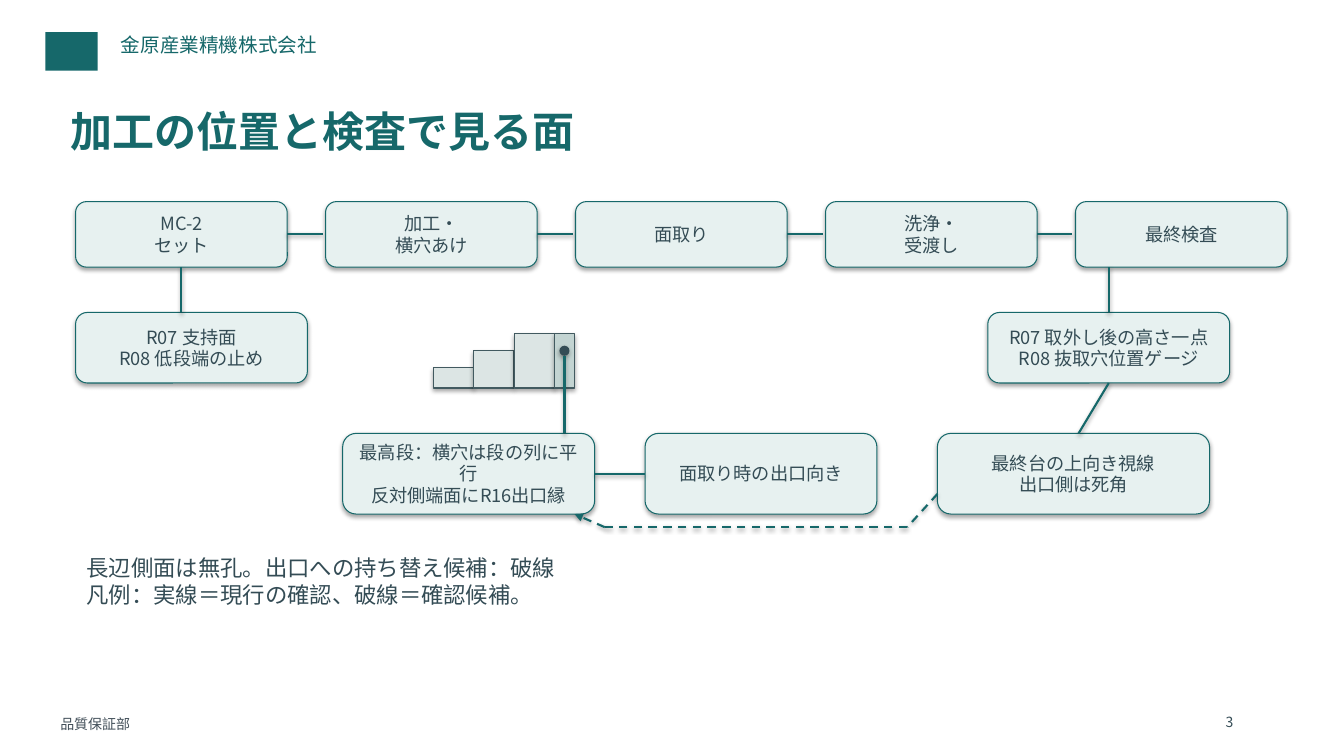
from lxml.etree import SubElement
from pptx import Presentation
from pptx.dml.color import RGBColor
from pptx.enum.dml import MSO_LINE
from pptx.enum.shapes import MSO_CONNECTOR, MSO_SHAPE
from pptx.enum.text import MSO_ANCHOR, MSO_AUTO_SIZE, PP_ALIGN
from pptx.oxml.ns import qn
from pptx.util import Pt

FONT = "Noto Sans CJK JP"
TEAL, INK, SLATE = "16686A", "344C55", "424F59"
PALE, STEEL, FACE, EDGE = "E7F1F0", "DCE5E4", "C3D4D2", "425A60"
STEPS = ["MC-2\nセット", "加工・\n横穴あけ", "面取り", "洗浄・\n受渡し", "最終検査"]
NOTES = [
    ("R07 支持面\nR08 低段端の止め", 54, 223.2, 165.6, 50.4),
    ("R07 取外し後の高さ一点\nR08 抜取穴位置ゲージ", 705.6, 223.2, 172.8, 50.4),
    ("最高段：横穴は段の列に平行\n反対側端面にR16出口縁", 244.8, 309.6, 180, 57.6),
    ("面取り時の出口向き", 460.8, 309.6, 165.6, 57.6),
    ("最終台の上向き視線\n出口側は死角", 669.6, 309.6, 194.4, 57.6),
]
LINKS = [
    ((129.6, 190.8), (129.6, 223.2)),
    ((792, 190.8), (792, 223.2)),
    ((403.2, 254.16), (403.2, 309.6)),
    ((424.8, 338.4), (460.8, 338.4)),
    ((792, 273.6), (770.4, 309.6)),
]
ROUTE = [(669.6, 352.8), (648, 376.56), (432, 376.56), (410.4, 367.2)]


def color(code):
    """Turn a hex string into a colour."""
    return RGBColor.from_string(code)


def write(frame, words, size=13, ink=INK, bold=False, align=PP_ALIGN.LEFT,
          anchor=MSO_ANCHOR.TOP, inset=None):
    """Fill a text frame with one paragraph per line and format it."""
    frame.text = words
    frame.word_wrap = True
    frame.auto_size = MSO_AUTO_SIZE.NONE
    frame.vertical_anchor = anchor
    if inset:
        frame.margin_left = frame.margin_right = Pt(inset[0])
        frame.margin_top = frame.margin_bottom = Pt(inset[1])
    for line in frame.paragraphs:
        line.alignment = align
        for run in line.runs:
            font = run.font
            font.name, font.size, font.bold = FONT, Pt(size), bold
            font.color.rgb = color(ink)


def label(slide, words, x, y, w, h, **style):
    """Add a text box."""
    box = slide.shapes.add_textbox(Pt(x), Pt(y), Pt(w), Pt(h))
    write(box.text_frame, words, **style)


def block(slide, kind, x, y, w, h, fill, edge=None):
    """Add a filled shape with an optional thin outline."""
    shape = slide.shapes.add_shape(kind, Pt(x), Pt(y), Pt(w), Pt(h))
    shape.fill.solid()
    shape.fill.fore_color.rgb = color(fill)
    if edge:
        shape.line.color.rgb = color(edge)
        shape.line.width = Pt(0.75)
    else:
        shape.line.fill.background()
    return shape


def card(slide, words, *place):
    """Add a rounded box with centred text."""
    shape = block(slide, MSO_SHAPE.ROUNDED_RECTANGLE, *place, PALE, TEAL)
    write(shape.text_frame, words, align=PP_ALIGN.CENTER,
          anchor=MSO_ANCHOR.MIDDLE)


def link(slide, start, end, dash=False, arrow=False):
    """Add a straight connector, dashed or arrowed on request."""
    wire = slide.shapes.add_connector(
        MSO_CONNECTOR.STRAIGHT, *[Pt(n) for n in (*start, *end)])
    wire.line.color.rgb = color(TEAL)
    wire.line.width = Pt(1.5)
    if dash:
        wire.line.dash_style = MSO_LINE.DASH
    if arrow:
        SubElement(wire.line._get_or_add_ln(), qn("a:tailEnd"), type="triangle")


def frame(slide):
    """Add the header, title, footer and page number."""
    mark = block(slide, MSO_SHAPE.RECTANGLE, 32.4, 23, 37.4, 27.4, TEAL)
    mark.shadow.inherit = False
    label(slide, "金原産業精機株式会社", 79.2, 20.16, 432, 32.4, size=14, ink=TEAL)
    label(slide, "品質保証部", 36, 507.6, 360, 18, size=10, ink=SLATE)
    title = slide.shapes.title
    title.left, title.top = Pt(43.2), Pt(72)
    title.width, title.height = Pt(871.2), Pt(57.6)
    write(title.text_frame, "加工の位置と検査で見る面", size=30, ink=TEAL, bold=True)
    label(slide, "3", 871.2, 506.16, 28.8, 18, size=10, inset=(4.32, 3.6))


def flow(slide):
    """Add the row of process steps."""
    wide, pitch, mid = 151.2, 178.56, 167.04
    for i, step in enumerate(STEPS):
        x = 54 + pitch * i
        card(slide, step, x, 144, wide, 46.8)
        if i < len(STEPS) - 1:
            link(slide, (x + wide, mid), (x + wide + 25.2, mid))


def part(slide):
    """Draw the stepped workpiece with its cross hole."""
    base = 277.2
    for i, tall in enumerate([14.4, 26.64, 38.88]):
        block(slide, MSO_SHAPE.RECTANGLE, 309.6 + 28.8 * i, base - tall,
              28.8, tall, STEEL, EDGE)
    block(slide, MSO_SHAPE.RECTANGLE, 396, base - 38.88, 14.4, 38.88, FACE, EDGE)
    block(slide, MSO_SHAPE.OVAL, 399.6, 246.96, 7.2, 7.2, INK)


def main():
    """Build the slide and save it."""
    deck = Presentation()
    deck.slide_width, deck.slide_height = Pt(960), Pt(540)
    slide = deck.slides.add_slide(deck.slide_layouts[5])
    frame(slide)
    flow(slide)
    part(slide)
    for note in NOTES:
        card(slide, *note)
    for start, end in LINKS:
        link(slide, start, end)
    for start, end in zip(ROUTE, ROUTE[1:]):
        link(slide, start, end, dash=True, arrow=end == ROUTE[-1])
    label(slide, "長辺側面は無孔。出口への持ち替え候補：破線\n"
          "凡例：実線＝現行の確認、破線＝確認候補。",
          57.6, 392.4, 835.2, 64.8, size=16, inset=(4.32, 3.6))
    deck.save("out.pptx")


if __name__ == "__main__":
    main()
